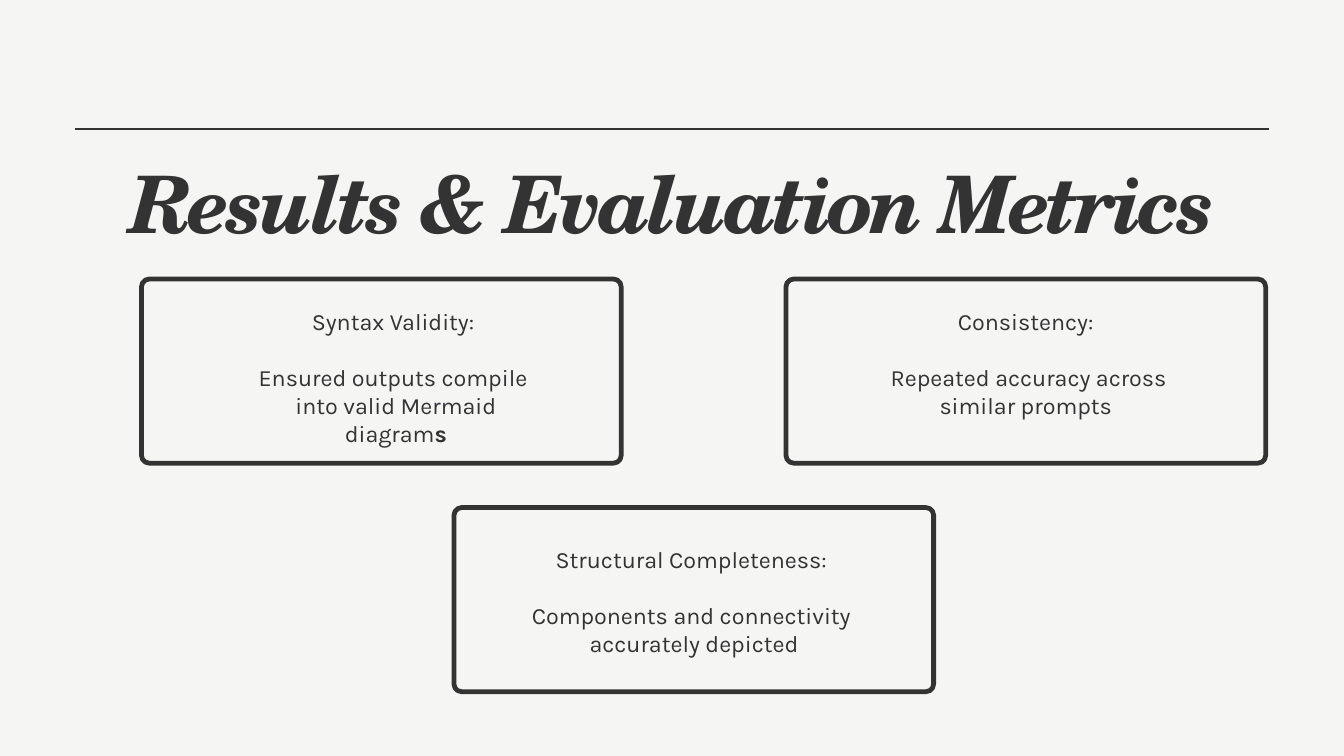
from pptx import Presentation
from pptx.dml.color import RGBColor
from pptx.enum.shapes import MSO_CONNECTOR, MSO_SHAPE
from pptx.enum.text import PP_ALIGN
from pptx.oxml.ns import qn
from pptx.util import Cm, Pt
from lxml import etree

ROUNDED = MSO_SHAPE.ROUNDED_RECTANGLE
STRAIGHT = MSO_CONNECTOR.STRAIGHT
CENTER = PP_ALIGN.CENTER

INK = "333333"
PAPER = "F5F5F4"
TITLE_FONT = "TeX Gyre Schola"
BODY_FONT = "Karla"

TITLE = "Results & Evaluation Metrics"

# Each text line is a list of (text, bold) runs; box is left, top, width in cm.
METRICS = [
    {
        "frame": (5.26, 10.46),
        "box": (9.17, 11.61, 11.58),
        "heading": "Syntax Validity: ",
        "lines": [
            [("Ensured outputs compile ", False)],
            [("into valid Mermaid diagram", False), ("s", True)],
        ],
    },
    {
        "frame": (17.07, 19.1),
        "box": (20.07, 20.6, 12.32),
        "heading": "Structural Completeness: ",
        "lines": [
            [("Components and connectivity ", False)],
            [("accurately depicted", False)],
        ],
    },
    {
        "frame": (29.62, 10.46),
        "box": (32.61, 11.61, 12.32),
        "heading": "Consistency:",
        "lines": [[(" Repeated accuracy across similar prompts", False)]],
    },
]

FRAME_WIDTH, FRAME_HEIGHT = 18.31, 7.14
BORDER = 0.18
CORNER = 0.29
TEXT_HEIGHT = 4.17
LINE_SPACING = Pt(30)


def color(value):
    return RGBColor.from_string(value)


def add_text_box(slide, left, top, width, height):
    box = slide.shapes.add_textbox(Cm(left), Cm(top), Cm(width), Cm(height))
    frame = box.text_frame
    frame.word_wrap = True
    frame.margin_left = frame.margin_right = 0
    frame.margin_top = frame.margin_bottom = 0
    return frame


def style(paragraph, font_name, size, spacing):
    paragraph.alignment = CENTER
    paragraph.line_spacing = spacing
    paragraph.font.name = font_name
    paragraph.font.size = Pt(size)
    paragraph.font.color.rgb = color(INK)


def add_title(slide):
    paragraph = add_text_box(slide, 4.62, 5.82, 41.58, 3.58).paragraphs[0]
    style(paragraph, TITLE_FONT, 85, Pt(102))
    paragraph.font.bold = paragraph.font.italic = True
    run = paragraph.add_run()
    run.text = TITLE
    run.font._element.set("spc", "-420")


def add_rule(slide):
    rule = slide.shapes.add_connector(STRAIGHT, Cm(2.84), Cm(4.88), Cm(47.96), Cm(4.88))
    rule.line.color.rgb = color(INK)
    rule.line.width = Pt(2.25)
    etree.SubElement(rule._element.spPr, qn("a:effectLst"))


def add_frame(slide, left, top):
    """Draw a rounded border whose outer edge starts at left, top."""
    width, height = FRAME_WIDTH - BORDER, FRAME_HEIGHT - BORDER
    shape = slide.shapes.add_shape(
        ROUNDED, Cm(left + BORDER / 2), Cm(top + BORDER / 2), Cm(width), Cm(height)
    )
    shape.adjustments[0] = CORNER / height
    shape.shadow.inherit = False
    shape.fill.background()
    shape.line.color.rgb = color(INK)
    shape.line.width = Cm(BORDER)


def add_metric_text(slide, metric):
    frame = add_text_box(slide, *metric["box"], TEXT_HEIGHT)
    lines = [[(metric["heading"], False)]] + metric["lines"]
    for index, runs in enumerate(lines):
        paragraph = frame.add_paragraph() if index else frame.paragraphs[0]
        style(paragraph, BODY_FONT, 25, LINE_SPACING)
        if index == 1:
            paragraph.space_before = LINE_SPACING
        for text, bold in runs:
            run = paragraph.add_run()
            run.text = text
            if bold:
                run.font.bold = True


def main():
    presentation = Presentation()
    presentation.slide_width = Cm(50.8)
    presentation.slide_height = Cm(28.58)
    slide = presentation.slides.add_slide(presentation.slide_layouts[6])
    slide.background.fill.solid()
    slide.background.fill.fore_color.rgb = color(PAPER)

    for metric in METRICS:
        add_frame(slide, *metric["frame"])
    add_title(slide)
    add_rule(slide)
    for metric in METRICS:
        add_metric_text(slide, metric)

    presentation.save("out.pptx")


if __name__ == "__main__":
    main()
